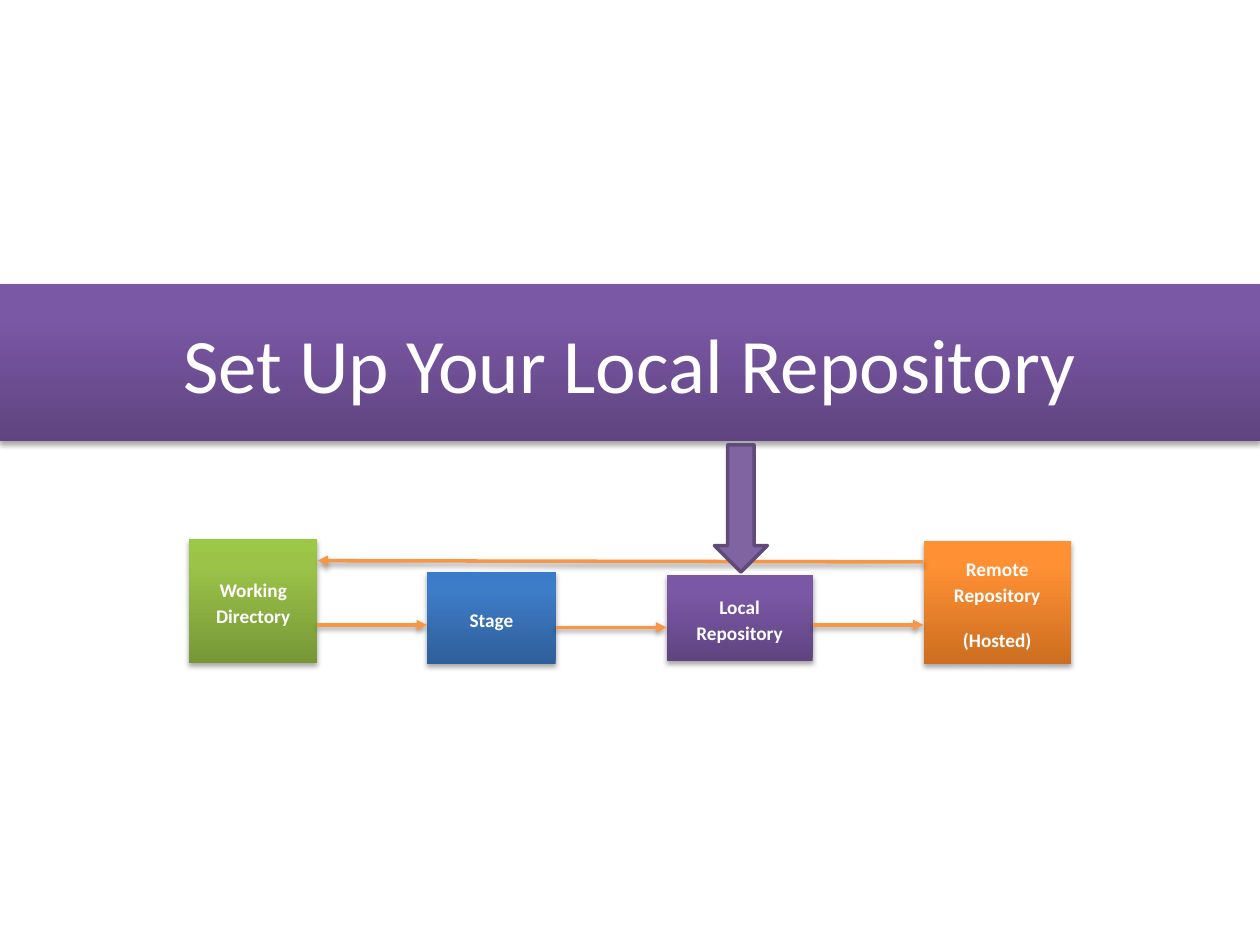
from copy import deepcopy
from lxml import etree
from pptx import Presentation
from pptx.dml.color import RGBColor
from pptx.enum import shapes, text
from pptx.oxml import ns
from pptx.util import Inches, Pt

FONT = "Calibri"
WHITE = "FFFFFF"
ORANGE = "F79646"
GRADIENT_POSITIONS = (0, 0.8, 1)
GRADIENTS = {
    "purple": ("5F4480", "7B58A6", "7C57A8"),
    "green": ("779737", "9BC348", "9DC746"),
    "blue": ("2F5F99", "3D7CC7", "3A7CCB"),
    "orange": ("CC6E20", "FF9034", "FF9136"),
}
TITLE = ("Set Up Your Local Repository", (0, 2.25, 10, 1.25), "purple")
# paragraphs, (left, top, width, height), gradient
STAGES = [
    (["Working\vDirectory"], (1.5, 4.28, 1.02, 0.98), "green"),
    (["Stage"], (3.39, 4.54, 1.02, 0.73), "blue"),
    (["Local Repository"], (5.29, 4.56, 1.16, 0.69), "purple"),
    (["Remote Repository", "(Hosted)"], (7.33, 4.29, 1.17, 0.98), "orange"),
]
FORWARD_LEVELS = [4.96, 4.98, 4.96]
RETURN_LEVELS = (4.46, 4.45)
POINTER = (5.67, 3.53, 0.42, 1.01)


def color(value):
    """Turn a hex string into a colour."""
    return RGBColor.from_string(value)


def add_child(parent, tag, **attributes):
    """Append a DrawingML element."""
    values = {key: str(value) for key, value in attributes.items()}
    return etree.SubElement(parent, ns.qn(tag), values)


def add_shadow(effects, opacity, distance):
    """Put a soft downward shadow in an effect list."""
    shadow = add_child(effects, "a:outerShdw", blurRad=Pt(3.1), dist=Pt(distance),
                       dir=5400000, rotWithShape=0)
    black = add_child(shadow, "a:srgbClr", val="000000")
    add_child(black, "a:alpha", val=opacity * 1000)


def add_shape(page, kind, place):
    """Add a preset shape without the theme shadow."""
    shape = page.shapes.add_shape(kind, *map(Inches, place))
    shape.shadow.inherit = False
    return shape


def add_box(page, lines, place, gradient, size, bold=False):
    """Add a shaded box with centred white text."""
    box = add_shape(page, shapes.MSO_SHAPE.RECTANGLE, place)
    box.line.fill.background()
    box.fill.gradient()
    box.fill.gradient_angle = 90
    stop_list = box._element.spPr.find(".//" + ns.qn("a:gsLst"))
    stop_list.insert(1, deepcopy(stop_list[0]))
    for stop, position, value in zip(box.fill.gradient_stops, GRADIENT_POSITIONS,
                                     GRADIENTS[gradient]):
        stop.position = position
        stop.color.rgb = color(value)
    add_shadow(box._element.spPr.find(ns.qn("a:effectLst")), 35, 1.8)

    frame = box.text_frame
    frame.word_wrap = True
    frame.vertical_anchor = text.MSO_ANCHOR.MIDDLE
    frame.text = "\n".join(lines)
    for para in frame.paragraphs:
        para.alignment = text.PP_ALIGN.CENTER
        for span in para.runs:
            span.font.name = FONT
            span.font.size = Pt(size)
            span.font.bold = bold
            span.font.color.rgb = color(WHITE)
    return box


def add_arrow(page, start, end):
    """Add an orange arrow between two points."""
    arrow = page.shapes.add_connector(shapes.MSO_CONNECTOR.STRAIGHT,
                                      *map(Inches, start + end))
    arrow.line.color.rgb = color(ORANGE)
    arrow.line.width = Pt(2)
    add_child(arrow.line._get_or_add_ln(), "a:tailEnd", type="triangle")
    add_shadow(add_child(arrow._element.spPr, "a:effectLst"), 38, 1.6)


deck = Presentation()
deck.slide_width, deck.slide_height = Inches(10), Inches(7.5)
page = deck.slides.add_slide(deck.slide_layouts[6])

title, title_place, title_gradient = TITLE
add_box(page, [title], title_place, title_gradient, 44)

for lines, place, gradient in STAGES:
    box = add_box(page, lines, place, gradient, 11, bold=True)
    for para in box.text_frame.paragraphs:
        para.line_spacing = 1.15
        para.space_after = Pt(10)

places = [place for _, place, _ in STAGES]
right_edges = [left + width for left, _, width, _ in places]
for right, following, level in zip(right_edges, places[1:], FORWARD_LEVELS):
    add_arrow(page, (right, level), (following[0], level))
add_arrow(page, (places[-1][0], RETURN_LEVELS[0]), (right_edges[0], RETURN_LEVELS[1]))

pointer = add_shape(page, shapes.MSO_SHAPE.DOWN_ARROW, POINTER)
pointer.fill.solid()
pointer.fill.fore_color.rgb = color("8064A2")
pointer.line.color.rgb = color("5F4A78")
pointer.line.width = Pt(2)

deck.save("out.pptx")
